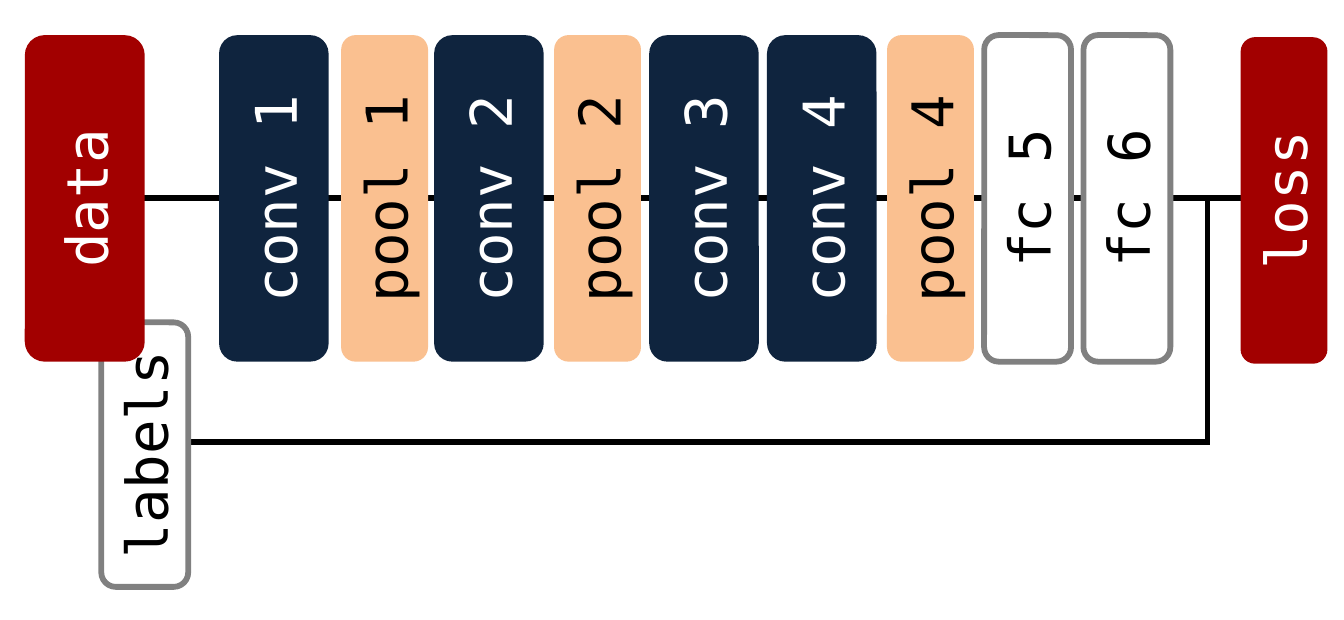
from dataclasses import dataclass

from lxml import etree
from pptx import Presentation, util as u
from pptx.dml.color import RGBColor
from pptx.enum import shapes, text
from pptx.oxml.ns import qn


@dataclass(frozen=True)
class Theme:
    """Colours, type and line weight of the network diagram."""
    font: str = "DejaVu Sans Mono"
    size: int = 20
    line_width: int = 2
    wire: str = "000000"
    # kind of block: fill, outline, text
    blocks = {
        "end": ("A20000", None, "FFFFFF"),
        "conv": ("0F243E", None, "FFFFFF"),
        "pool": ("FAC090", None, "000000"),
        "plain": ("FFFFFF", "808080", "000000"),
    }


THEME = Theme()
WIDTH, HEIGHT = 6.5, 3
COLUMNS, ROWS = 650, 300
LAYER_TOP, LAYER_ROWS = 17, 158
DATA_ROW, LABEL_ROW, JOIN_COLUMN = 96, 214, 584
LAYER_COLUMNS = {"conv": 53, "pool": 42, "plain": 42}
LAYERS = [
    ("conv 1", "conv", 106), ("pool 1", "pool", 165),
    ("conv 2", "conv", 210), ("pool 2", "pool", 268),
    ("conv 3", "conv", 314), ("conv 4", "conv", 371),
    ("pool 4", "pool", 429), ("fc 5", "plain", 476), ("fc 6", "plain", 524),
]


def across(columns):
    """Length of a number of grid columns."""
    return u.Inches(WIDTH * columns / COLUMNS)


def down(rows):
    """Length of a number of grid rows."""
    return u.Inches(HEIGHT * rows / ROWS)


def apply_format(target, values):
    """Set attributes from a dict of format values."""
    for name, value in values.items():
        setattr(target, name, value)


def add_wire(slide, start, end):
    """Draw a straight wire between two (column, row) points."""
    wire = slide.shapes.add_connector(
        shapes.MSO_CONNECTOR.STRAIGHT,
        across(start[0]), down(start[1]), across(end[0]), down(end[1]))
    wire.line.color.rgb = RGBColor.from_string(THEME.wire)
    wire.line.width = u.Pt(THEME.line_width)
    etree.SubElement(wire._element.spPr, qn("a:effectLst"))


def add_block(slide, label, kind, left, columns, top=LAYER_TOP, rows=LAYER_ROWS):
    """Draw a rounded block whose label reads upwards."""
    fill, outline, ink = THEME.blocks[kind]
    block = slide.shapes.add_shape(
        shapes.MSO_SHAPE.ROUNDED_RECTANGLE,
        across(left), down(top), across(columns), down(rows))
    block.shadow.inherit = False
    block.fill.solid()
    block.fill.fore_color.rgb = RGBColor.from_string(fill)
    if outline:
        block.line.color.rgb = RGBColor.from_string(outline)
        block.line.width = u.Pt(THEME.line_width)
    else:
        block.line.fill.background()
    frame = block.text_frame
    frame.vertical_anchor = text.MSO_ANCHOR.MIDDLE
    frame._txBody.bodyPr.set("vert", "vert270")
    paragraph = frame.paragraphs[0]
    paragraph.alignment = text.PP_ALIGN.CENTER
    run = paragraph.add_run()
    run.text = label
    apply_format(run.font, {"name": THEME.font, "size": u.Pt(THEME.size)})
    run.font.color.rgb = RGBColor.from_string(ink)


def main():
    """Build the network slide and save it."""
    presentation = Presentation()
    apply_format(presentation, {"slide_width": u.Inches(WIDTH),
                                "slide_height": u.Inches(HEIGHT)})
    slide = presentation.slides.add_slide(presentation.slide_layouts[6])

    add_wire(slide, (55, DATA_ROW), (621, DATA_ROW))
    add_wire(slide, (JOIN_COLUMN, DATA_ROW), (JOIN_COLUMN, LABEL_ROW))
    add_wire(slide, (62, LABEL_ROW), (JOIN_COLUMN + 1, LABEL_ROW))

    add_block(slide, "labels", "plain", 49, 42, top=156, rows=128)
    add_block(slide, "data", "end", 12, 58)
    for label, kind, left in LAYERS:
        add_block(slide, label, kind, left, LAYER_COLUMNS[kind])
    add_block(slide, "loss", "end", 600, 42, top=LAYER_TOP + 1)

    presentation.save("out.pptx")


main()
